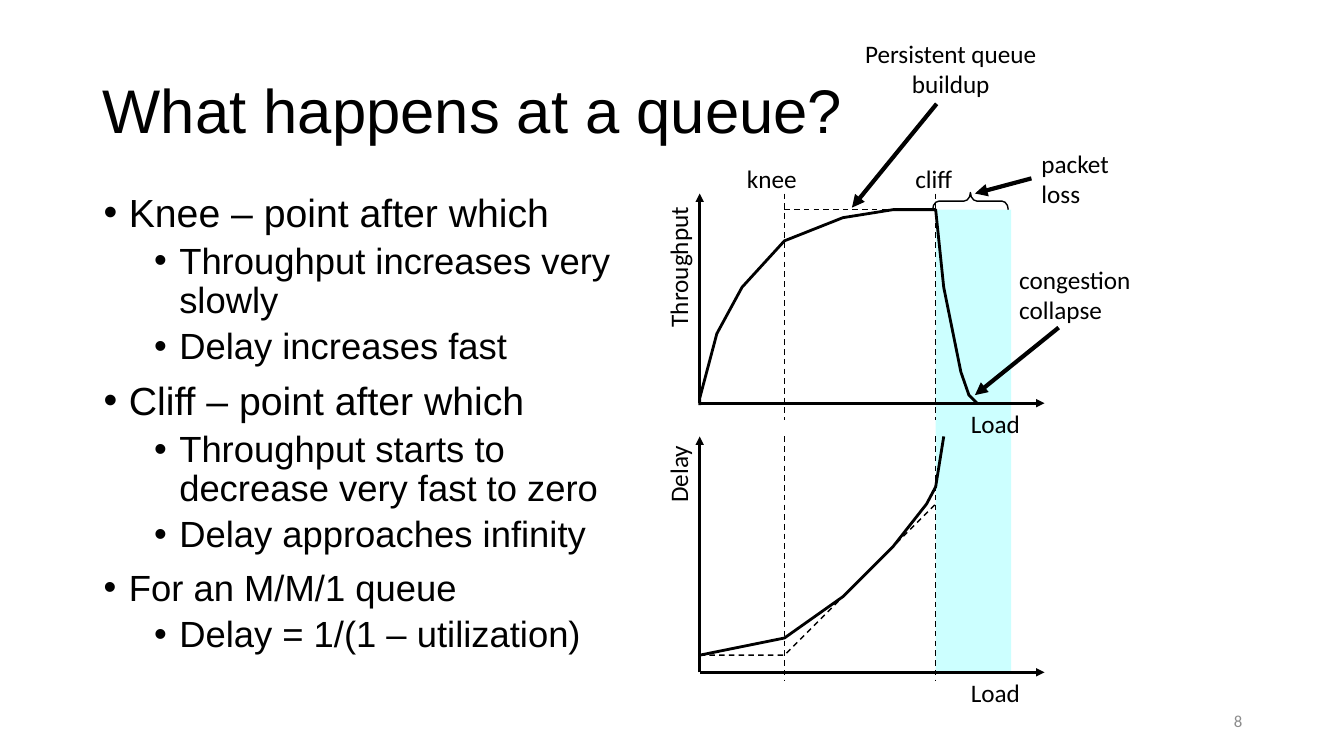
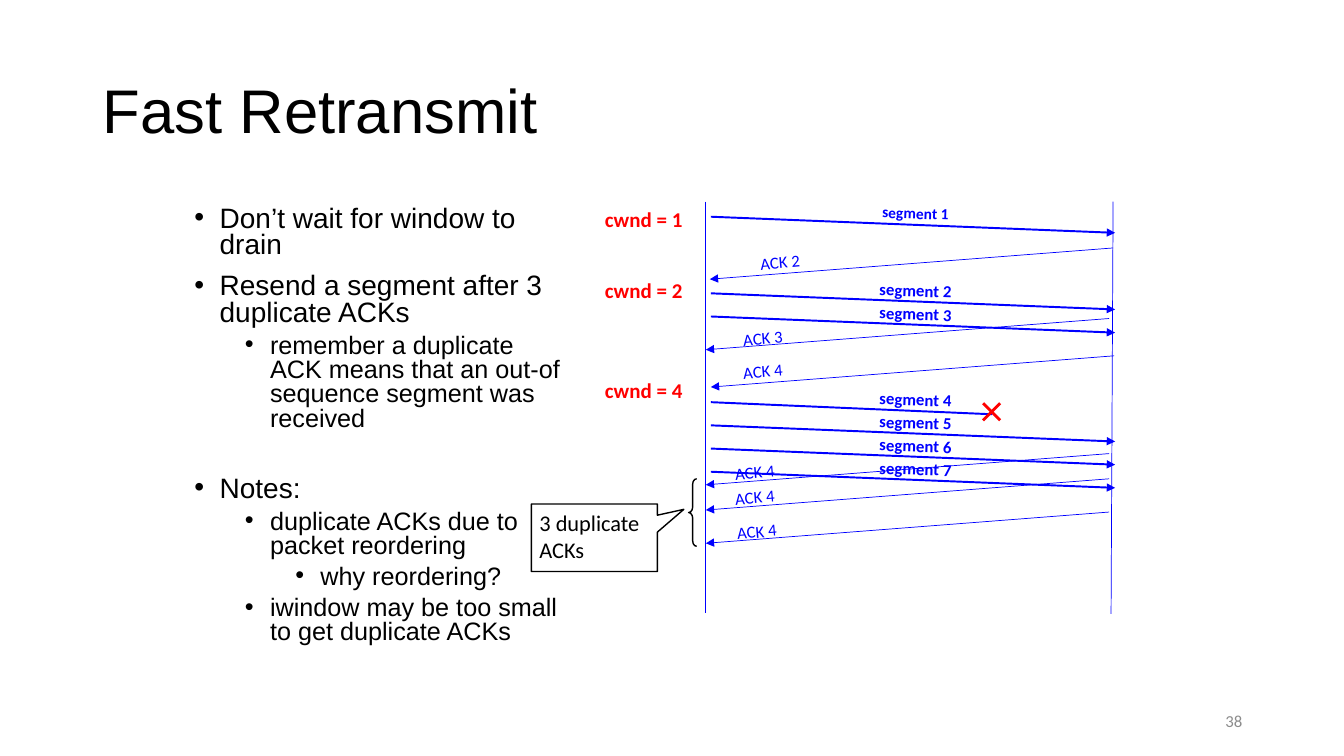
"""Build two slides on queue behaviour and fast retransmit."""
from lxml.etree import SubElement
from pptx import Presentation
from pptx.dml.color import RGBColor
from pptx.enum.dml import MSO_LINE
from pptx.enum.shapes import MSO_CONNECTOR, MSO_SHAPE as SHAPE
from pptx.enum.text import MSO_ANCHOR as ANCHOR, MSO_AUTO_SIZE, PP_ALIGN as ALIGN
from pptx.oxml.ns import qn
from pptx.util import Inches, Pt

COLORS = {"ink": "000000", "number": "8C8C8C", "band": "CCFFFF", "flow": "0000FF", "alert": "FF0000"}
HEAD, BODY = "Arial", "Calibri"
WIDTH, HEIGHT = 13.33, 7.5

QUEUE_BULLETS = [
    (0, "Knee – point after which", 28, 0),
    (1, "Throughput increases very slowly", 26, 5),
    (1, "Delay increases fast", 26, 5),
    (0, "Cliff – point after which", 28, 10),
    (1, "Throughput starts to decrease very fast to zero", 26, 5),
    (1, "Delay approaches infinity", 26, 5),
    (0, "For an M/M/1 queue", 26, 10),
    (1, "Delay = 1/(1 – utilization)", 26, 5),
]
RETRANSMIT_BULLETS = [
    (0, "Don’t wait for window to drain", 20, 0),
    (0, "Resend a segment after 3 duplicate ACKs", 20, 10),
    (1, "remember a duplicate ACK means that an out-of sequence segment was received", 18, 5),
    (0, "Notes:", 20, 32),
    (1, "duplicate ACKs due to packet reordering", 18, 5),
    (2, "why reordering?", 18, 5),
    (1, "iwindow may be too small to get duplicate ACKs", 18, 5),
]

ORIGIN, KNEE, CLIFF, AXIS_END, PEAK = 6.94, 7.78, 9.28, 10.36, 2.08
PLOTS = [
    {"top": 1.92, "base": 4, "guide": (1.92, 4.17)},
    {"top": 4.33, "base": 6.67, "guide": (4.33, 6.75)},
]
THROUGHPUT = [(ORIGIN, 4.02), (ORIGIN, 3.95), (7.11, 3.31), (7.36, 2.85), (KNEE, 2.39), (8.36, 2.16),
              (8.86, PEAK), (CLIFF, PEAK), (9.36, 2.85), (9.53, 3.69), (9.61, 3.92), (9.69, 4)]
DELAY = [(ORIGIN, 6.5), (KNEE, 6.33), (8.36, 5.92), (8.86, 5.42), (9.19, 5), (CLIFF, 4.83), (9.36, 4.33)]
DELAY_BOUND = [(ORIGIN, 6.5), (KNEE, 6.5), (CLIFF, 5)]
PLOT_LABELS = [
    ("Throughput", (6.02, 2.44, 1.41, 0.4), 270),
    ("Delay", (6.34, 4.5, 0.77, 0.4), 270),
    ("knee", (7.31, 1.57, 0.7, 0.4), 0),
    ("cliff", (8.98, 1.57, 0.57, 0.4), 0),
    ("congestion\ncollapse", (10.01, 2.57, 1.32, 0.7), 0),
]
POINTERS = [((10.5, 3.25), (9.67, 3.92)), ((9.29, 1.03), (8.45, 2.06))]

SENDER, RECEIVER = 7, 11
SEGMENT_DROP, ACK_DROP, LOST_AT = 0.16, 0.31, 9.84
SEGMENTS = [(1, 2.15), (2, 2.91), (3, 3.14), (4, 3.99), (5, 4.22), (6, 4.45), (7, 4.68)]
LOST = 4
ACKS = [
    (2, 0.04, 2.46, (7.54, 2.5)),
    (3, 0, 3.16, (7.37, 3.25)),
    (4, 0.05, 3.53, (7.37, 3.58)),
    (4, 0, 4.5, (7.29, 4.58)),
    (4, 0, 4.75, (7.29, 4.83)),
    (4, 0, 5.08, (7.31, 5.17)),
]
WINDOWS = [(1, 2.05), (2, 2.75), (4, 3.74)]


def rgb(name):
    return RGBColor.from_string(COLORS[name])


def box(at):
    return [Inches(v) for v in at]


def style(p, font, size, color="ink", bold=False):
    for r in p.runs:
        r.font.name, r.font.size, r.font.bold = font, Pt(size), bold
        r.font.color.rgb = rgb(color)


def label(s, text, at, size=18, color="ink", bold=False, rot=0, inset=True,
          align=ALIGN.LEFT, wrap=False, anchor=ANCHOR.TOP):
    sp = s.shapes.add_textbox(*box(at))
    sp.rotation = rot
    tf = sp.text_frame
    tf.word_wrap, tf.vertical_anchor = wrap, anchor
    if not inset:
        tf.margin_left = tf.margin_top = tf.margin_right = tf.margin_bottom = 0
    tf.text = text
    for p in tf.paragraphs:
        p.alignment = align
        style(p, BODY, size, color, bold)
    return sp


def line(s, start, end, width, color="ink", dash=False, arrow=False):
    sp = s.shapes.add_connector(MSO_CONNECTOR.STRAIGHT, *box(start + end))
    sp.line.color.rgb, sp.line.width = rgb(color), Pt(width)
    if dash:
        sp.line.dash_style = MSO_LINE.DASH
    if arrow:
        SubElement(sp.line._get_or_add_ln(), qn("a:tailEnd"), type="triangle")
    SubElement(sp._element.spPr, qn("a:effectLst"))
    return sp


def outline(sp, width=1):
    sp.shadow.inherit = False
    sp.fill.background()
    sp.line.color.rgb, sp.line.width = rgb("ink"), Pt(width)
    return sp


def curve(s, points, width, dash=False):
    start, *rest = [box(point) for point in points]
    builder = s.shapes.build_freeform(*start)
    builder.add_line_segments(rest, close=False)
    sp = outline(builder.convert_to_shape(), width)
    if dash:
        sp.line.dash_style = MSO_LINE.DASH


def preset(s, kind, at, adjustments, rot=0):
    sp = outline(s.shapes.add_shape(kind, *box(at)))
    sp.rotation = rot
    for i, value in enumerate(adjustments):
        sp.adjustments[i] = value
    return sp


def bullets(s, items, at, spacing):
    tf = s.shapes.add_textbox(*box(at)).text_frame
    tf.word_wrap = True
    for i, (level, text, size, before) in enumerate(items):
        p = tf.paragraphs[0] if i == 0 else tf.add_paragraph()
        p.text, p.level = text, level
        pPr = p._p.get_or_add_pPr()
        pPr.set("marL", str(Inches(0.25 + 0.5 * level)))
        pPr.set("indent", str(-Inches(0.25)))
        SubElement(pPr, qn("a:buFont"), typeface=HEAD)
        SubElement(pPr, qn("a:buChar"), char="•")
        p.line_spacing, p.space_before = spacing, Pt(before)
        style(p, HEAD, size)


def base_slide(prs, title, number):
    s = prs.slides.add_slide(prs.slide_layouts[5])
    sp = s.shapes.title
    sp.left, sp.top, sp.width, sp.height = box((0.92, 0.4, 11.5, 1.45))
    tf = sp.text_frame
    tf.text, tf.vertical_anchor, tf.auto_size = title, ANCHOR.MIDDLE, MSO_AUTO_SIZE.NONE
    p = tf.paragraphs[0]
    p.alignment, p.line_spacing = ALIGN.LEFT, 0.9
    style(p, HEAD, 44)
    label(s, str(number), (9.42, 6.95, 3, 0.4), 12, "number", align=ALIGN.RIGHT,
          wrap=True, anchor=ANCHOR.MIDDLE)
    return s


def queue_slide(prs):
    s = base_slide(prs, "What happens at a queue?", 8)
    band = s.shapes.add_shape(SHAPE.RECTANGLE, *box((CLIFF, PEAK, 0.75, 4.58)))
    band.shadow.inherit = False
    band.fill.solid()
    band.fill.fore_color.rgb = rgb("band")
    band.line.fill.background()
    bullets(s, QUEUE_BULLETS, (0.93, 1.87, 5.37, 5.48), 0.9)

    for plot in PLOTS:
        corner = (ORIGIN, plot["base"])
        for end in ((ORIGIN, plot["top"]), (AXIS_END, plot["base"])):
            line(s, corner, end, 2, arrow=True)
        for x in (KNEE, CLIFF):
            line(s, *[(x, y) for y in plot["guide"]], 1, dash=True)
        label(s, "Load", (9.53, plot["base"], 0.69, 0.4))
    line(s, (KNEE, PEAK), (CLIFF, PEAK), 1, dash=True)
    curve(s, THROUGHPUT, 2)
    curve(s, DELAY_BOUND, 1, dash=True)
    curve(s, DELAY, 2)

    for text, at, rot in PLOT_LABELS:
        label(s, text, at, rot=rot)
    label(s, "Persistent queue buildup", (8.48, 0.33, 1.9, 0.7), align=ALIGN.CENTER, wrap=True)
    loss = label(s, "packet\nloss", (10.23, 1.42, 0.88, 0.7))
    preset(s, SHAPE.RIGHT_BRACE, (9.54, 1.62, 0.17, 0.75), (0.375, 0.5), 270)
    for start, end in POINTERS:
        line(s, start, end, 3, arrow=True)
    line(s, (10.23, 1.77), (9.67, 1.92), 3, arrow=True).begin_connect(loss, 1)


def retransmit_slide(prs):
    s = base_slide(prs, "Fast Retransmit", 38)
    bullets(s, RETRANSMIT_BULLETS, (1.83, 2, 3.92, 4.67), 0.8)
    line(s, (SENDER, 2), (SENDER, 6.08), 0.5, "flow")
    line(s, (RECEIVER + 0.04, 2), (RECEIVER + 0.02, 6.09), 0.5, "flow")

    for n, y in SEGMENTS:
        lost = n == LOST
        end = (LOST_AT, y + 0.12) if lost else (RECEIVER + 0.06, y + SEGMENT_DROP)
        line(s, (SENDER + 0.05, y), end, 1.38, "flow", arrow=not lost)
        label(s, f"segment {n}", (8.72, y - 0.13, 0.72, 0.2), 11 if n == 1 else 12,
              "flow", True, 2, inset=False, align=ALIGN.CENTER)
    for n, shift, y, place in ACKS:
        line(s, (RECEIVER + shift, y), (SENDER + shift, y + ACK_DROP), 0.5, "flow", arrow=True)
        label(s, f"ACK {n}", place + (0.4, 0.2), 12, "flow", rot=355, inset=False)
    for size, y in WINDOWS:
        label(s, f"cwnd = {size}", (6, y, 0.77, 0.25), 15, "alert", True, inset=False)
    for top, bottom in ((4, 4.17), (4.17, 4)):
        line(s, (9.75, top), (9.92, bottom), 2, "alert")

    preset(s, SHAPE.LEFT_BRACE, (6.83, 4.75, 0.08, 0.67), (0.67, 0.5))
    callout = preset(s, SHAPE.RECTANGULAR_CALLOUT, (5.27, 5, 1.25, 0.67), (0.71, -0.42))
    tf = callout.text_frame
    tf.text, tf.word_wrap, tf.vertical_anchor = "3 duplicate\nACKs", False, ANCHOR.TOP
    tf.margin_left = Inches(0.08)
    for p in tf.paragraphs:
        p.alignment = ALIGN.LEFT
        style(p, BODY, 16)


def main():
    prs = Presentation()
    prs.slide_width, prs.slide_height = box((WIDTH, HEIGHT))
    queue_slide(prs)
    retransmit_slide(prs)
    prs.save("out.pptx")


if __name__ == "__main__":
    main()
